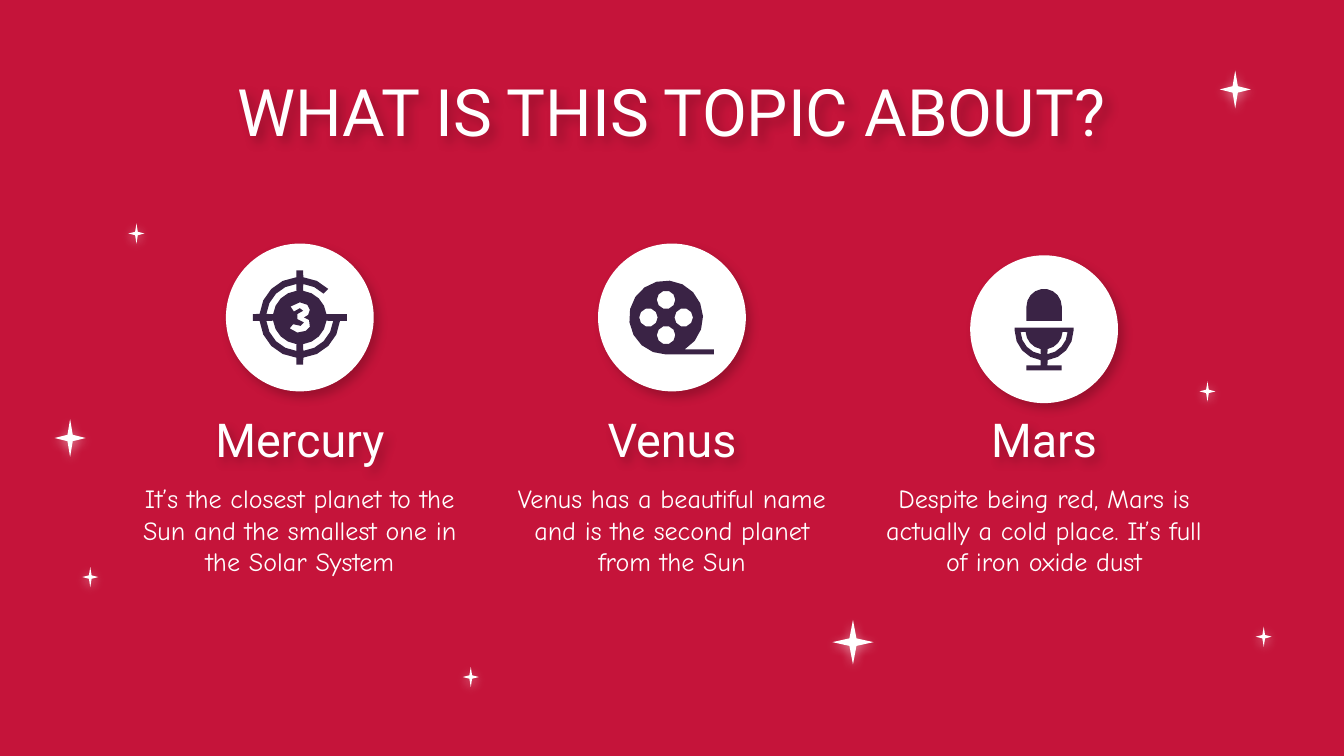
from math import cos, radians, sin

from lxml.etree import SubElement
from pptx import Presentation
from pptx.dml.color import RGBColor
from pptx.enum.shapes import MSO_SHAPE
from pptx.enum.text import MSO_ANCHOR, PP_ALIGN
from pptx.oxml.ns import qn
from pptx.util import Emu, Pt

PX = 5715  # 160 px to the inch
RED, WHITE, PURPLE = "C5143A", "FFFFFF", "3A2345"
GLOW = (WHITE, 50, 1.5, 90)
SHADE = ("000000", 22, 3.8, 50)


def style(shape, fill=None, shadow=None):
    """Set the fill; shadow is colour, opacity, distance in points and angle."""
    if fill:
        shape.fill.solid()
        shape.fill.fore_color.rgb = RGBColor.from_string(fill)
        shape.line.fill.background()
    shape.shadow.inherit = False
    if shadow:
        color, opacity, distance, angle = shadow
        effects = shape._element.spPr.find(qn("a:effectLst"))
        outer = SubElement(effects, qn("a:outerShdw"), blurRad=str(Pt(5.6)),
                           dist=str(Pt(distance)), dir=str(angle * 60000),
                           algn="bl", rotWithShape="0")
        tone = SubElement(outer, qn("a:srgbClr"), val=color)
        SubElement(tone, qn("a:alpha"), val=str(opacity * 1000))


def arc(radius, start, end, x=0, y=0):
    """Points along an arc, in degrees clockwise from the right."""
    steps = round(abs(end - start) / (20 if radius > 20 else 36))
    angles = [radians(start + (end - start) * i / steps) for i in range(steps + 1)]
    return [(x + radius * cos(a), y + radius * sin(a)) for a in angles]


deck = Presentation()
deck.slide_width, deck.slide_height = Emu(1600 * PX), Emu(900 * PX)
page = deck.slides.add_slide(deck.slide_layouts[6])
page.background.fill.solid()
page.background.fill.fore_color.rgb = RGBColor.from_string(RED)

# Sparkling stars
SMALL, MEDIUM, LARGE = (19, 24), (37, 45), (49, 53)
stars = [
    (1452, 84, MEDIUM), (1495, 746, SMALL), (1428, 454, SMALL),
    (65, 499, MEDIUM), (98, 675, SMALL), (551, 794, SMALL),
    (153, 266, SMALL), (991, 738, LARGE),
]
for left, top, (width, height) in stars:
    star = page.shapes.add_shape(MSO_SHAPE.STAR_4_POINT, left * PX, top * PX,
                                 width * PX, height * PX)
    star.adjustments[0] = 0.12
    style(star, WHITE, GLOW)

# Three columns: badge, heading and description
COLUMN_LEFT, COLUMN_STEP, COLUMN_WIDTH, BADGE = 152, 443, 410, 176
columns = [
    ("Mercury", "It’s the closest planet to the Sun and the smallest one in the Solar System", 290),
    ("Venus", "Venus has a beautiful name and is the second planet from the Sun", 290),
    ("Mars", "Despite being red, Mars is actually a cold place. It’s full of iron oxide dust", 304),
]
texts = [("WHAT IS THIS TOPIC ABOUT?", (126, 93, 1348, 77), 35, "Roboto", SHADE)]
for index, (heading, description, badge_top) in enumerate(columns):
    left = COLUMN_LEFT + index * COLUMN_STEP
    badge_left = left + (COLUMN_WIDTH - BADGE) // 2
    badge = page.shapes.add_shape(MSO_SHAPE.OVAL, badge_left * PX, badge_top * PX,
                                  BADGE * PX, BADGE * PX)
    style(badge, WHITE, SHADE)
    texts.append((heading, (left, 476, COLUMN_WIDTH, 93), 25, "Roboto", SHADE))
    texts.append((description, (left, 565, COLUMN_WIDTH, 131), 14, "Comic Neue", None))

for text, bounds, size, font, shadow in texts:
    box = page.shapes.add_textbox(*[value * PX for value in bounds])
    style(box, shadow=shadow)
    frame = box.text_frame
    frame.word_wrap = True
    frame.vertical_anchor = MSO_ANCHOR.MIDDLE
    frame.margin_left = frame.margin_right = 16 * PX
    frame.margin_top = frame.margin_bottom = 16 * PX
    frame.text = text
    para = frame.paragraphs[0]
    para.alignment = PP_ALIGN.CENTER
    span = para.runs[0]
    span.font.size, span.font.name = Pt(size), font
    span.font.color.rgb = RGBColor.from_string(WHITE)

# Icons: contours around a centre; inner contours are holes
countdown = [
    arc(48, -85, -45) + arc(40, -45, -84) + arc(32, -83, -7) + [(56, -4), (56, 4)]
    + arc(48, 5, 85) + [(4, 56), (-4, 56)]
    + arc(48, 95, 175) + [(-56, 4), (-56, -4)]
    + arc(48, 185, 265) + [(-4, -56), (4, -56)],
    [(-11, -13), (0, -18), (9, -15), (12, -9), (10, -3), (5, 0), (11, 3),
     (12, 11), (7, 16), (-3, 18), (-12, 13), (-8, 8), (1, 10), (5, 6),
     (-3, 2), (-3, -4), (4, -8), (0, -11), (-7, -7)],
]
for quarter in (0, 90, 180):
    countdown.append(arc(40, quarter + 6, quarter + 84)
                     + arc(32, quarter + 83, quarter + 7))

film_reel = [arc(44, 90, 420) + [(57, 38), (57, 44)]]
for x, y in ((0, -21), (21, 0), (-21, 0), (0, 21)):
    film_reel.append(arc(11, 0, 324, x, y))

microphone_stand = [
    arc(35, 0, 83) + [(4, 41), (21, 41), (21, 47), (-21, 47), (-21, 41), (-4, 41)]
    + arc(35, 97, 180) + [(-35, -4), (35, -4)],
    arc(28, 3, 82) + arc(22, 79, 3),
    arc(28, 98, 177) + arc(22, 177, 101),
]
microphone_head = [arc(21, 180, 360) + [(21, 17), (-21, 17)]]

icons = [
    (countdown, 357, 378), (film_reel, 793, 378),
    (microphone_stand, 1243, 394), (microphone_head, 1243, 365),
]
for contours, center_x, center_y in icons:
    builder = None
    for contour in contours:
        points = [((center_x + x) * PX, (center_y + y) * PX) for x, y in contour]
        if builder is None:
            builder = page.shapes.build_freeform(*points[0])
        else:
            builder.move_to(*points[0])
        builder.add_line_segments(points[1:], close=True)
    style(builder.convert_to_shape(), PURPLE)

deck.save("out.pptx")
